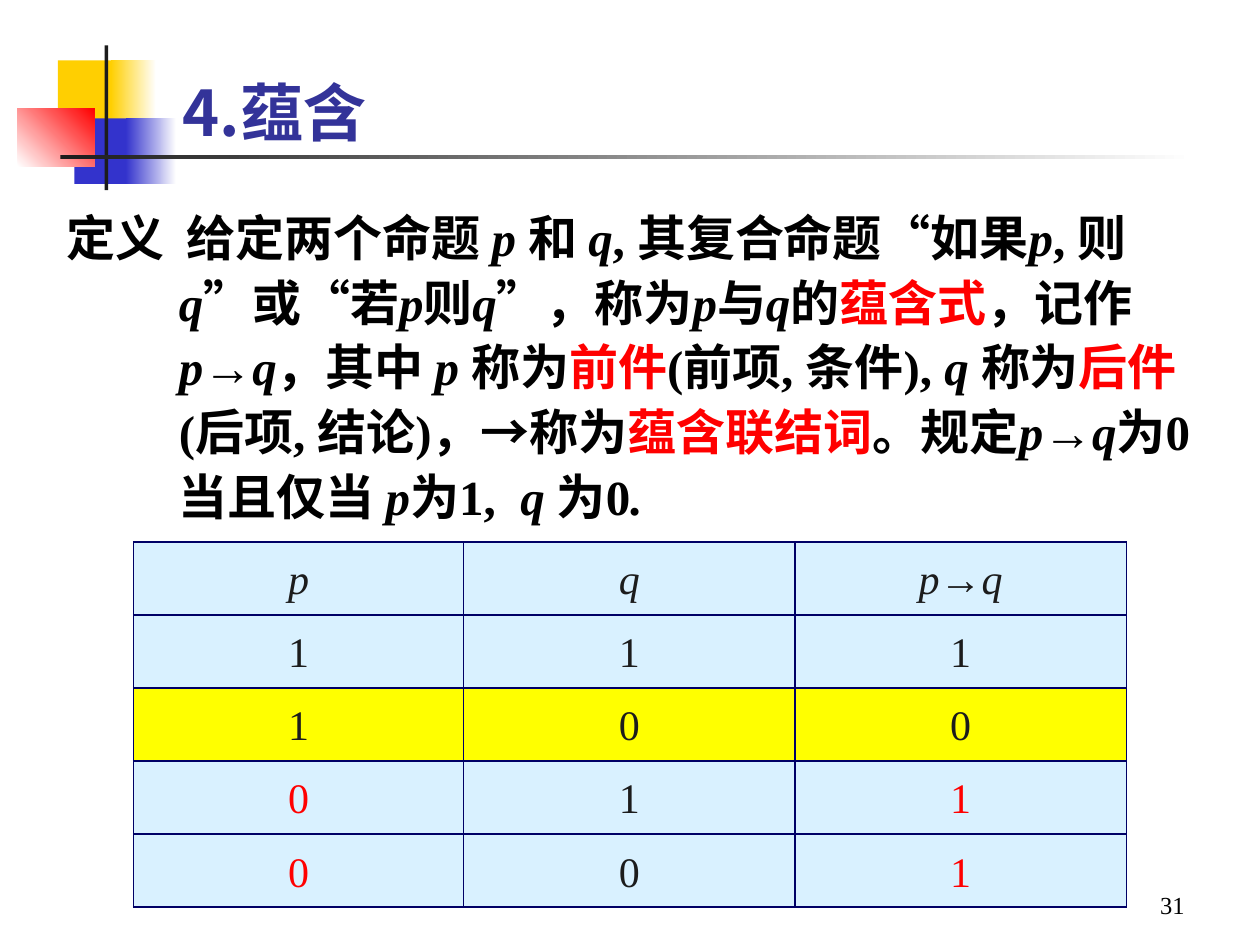
from lxml import etree
from pptx import Presentation
from pptx.dml.color import RGBColor
from pptx.enum.text import MSO_ANCHOR, MSO_AUTO_SIZE, PP_ALIGN
from pptx.oxml import parse_xml
from pptx.oxml.ns import nsdecls, qn
from pptx.util import Inches, Pt

SERIF, SANS = "Times New Roman", "Noto Sans CJK SC"
BLACK, INK, RED = "000000", "1C1C1C", "FF0000"


def rgb(value):
    return RGBColor.from_string(value)


def add_run(paragraph, text, size, color, font=SERIF, bold=False, italic=False):
    run = paragraph.add_run()
    run.text = text
    run.font.size = Pt(size)
    run.font.name = font
    run.font.bold = bold
    run.font.italic = italic
    run.font.color.rgb = rgb(color)
    etree.SubElement(run._r.rPr, qn("a:ea")).set("typeface", SANS)
    return run


prs = Presentation()
prs.slide_width, prs.slide_height = Inches(10), Inches(7.5)
slide = prs.slides.add_slide(prs.slide_layouts[1])
title, body = slide.placeholders[0], slide.placeholders[1]

ornaments = [
    (0.46, 0.48, 0.48, 0.52, ["FFCF01"], 0),
    (0.88, 0.48, 0.36, 0.52, ["FFCF01", "FFFFFF"], 0),
    (0.59, 0.94, 0.46, 0.52, ["3333CC"], 0),
    (1, 0.94, 0.4, 0.52, ["3333CC", "FFFFFF"], 0),
    (0.14, 0.86, 0.61, 0.46, ["FFFFFF", RED], 45),
    (0.83, 0.36, 0.03, 1.15, [INK], 0),
    (0.48, 1.23, 9, 0.03, [INK, "FFFFFF"], 0),
]
for left, top, width, height, colors, angle in ornaments:
    block = slide.shapes.add_shape(1, Inches(left), Inches(top), Inches(width), Inches(height))
    block.shadow.inherit = False
    block.line.fill.background()
    if len(colors) == 1:
        block.fill.solid()
        block.fill.fore_color.rgb = rgb(colors[0])
    else:
        block.fill.gradient()
        block.fill.gradient_angle = angle
        for stop, color in zip(block.fill.gradient_stops, colors):
            stop.color.rgb = rgb(color)
    slide.shapes._spTree.remove(block._element)
    slide.shapes._spTree.insert_element_before(block._element, "p:sp")
    title._element.addprevious(block._element)

title.left, title.top, title.width, title.height = map(Inches, (1.35, -0.02, 9, 1.25))
title.text_frame.vertical_anchor = MSO_ANCHOR.BOTTOM
title.text_frame.auto_size = MSO_AUTO_SIZE.NONE
heading = title.text_frame.paragraphs[0]
heading.alignment = PP_ALIGN.LEFT
heading_run = add_run(heading, "4.蕴含", 36, "333399", SANS, bold=True)
shadow = parse_xml(
    f'<a:effectLst {nsdecls("a")}><a:outerShdw dist="25400" dir="2700000">'
    f'<a:srgbClr val="{INK}"/></a:outerShdw></a:effectLst>'
)
heading_run._r.rPr.find(qn("a:solidFill")).addnext(shadow)

body.left, body.top, body.width, body.height = map(Inches, (0.43, 1.55, 9.21, 2.2))
body.text_frame.auto_size = MSO_AUTO_SIZE.NONE
body.text_frame.vertical_anchor = MSO_ANCHOR.TOP
definition = body.text_frame.paragraphs[0]
definition.line_spacing = 1.1
definition.space_before = Pt(8.4)
props = definition._p.get_or_add_pPr()
props.set("marL", str(Inches(0.89)))
props.set("indent", str(Inches(-0.89)))
etree.SubElement(props, qn("a:buNone"))

wording = (
    "定义  给定两个命题 |*p |和 |*q|, 其复合命题|~“|如果|*p|, 则|*q|~”|或|~“|若|*p|则|*q|~”"
    "|,称为|*p|与|*q|的|!蕴含式|,记作|*p|→|*q|,其中 |*p |称为|!前件|(前项, 条件), |*q |称为"
    "|!后件|(后项, 结论),→称为|!蕴含联结词|。规定|*p|→|*q|为0 当且仅当 |*p|为1,  |*q |为0|*."
).replace(",称", "\uff0c称").replace(",记", "\uff0c记").replace(",其中", "\uff0c其中").replace("),→", ")\uff0c→")
for piece in wording.split("|"):
    mark = piece[0] if piece[0] in "*~!" else ""
    add_run(
        definition, piece[len(mark):], 28, RED if mark == "!" else BLACK,
        "Arial" if mark == "~" else SERIF, bold=True, italic=mark == "*",
    )

truth_rows = ["p q p→q", "1 1 1", "1 0 0", "0 1 1", "0 0 1"]
red_cells = {(3, 0), (3, 2), (4, 0), (4, 2)}
frame = slide.shapes.add_table(5, 3, Inches(1.06), Inches(4.3), Inches(7.88), Inches(2.9))
table = frame.table
for column, width in zip(table.columns, (2.62, 2.63, 2.63)):
    column.width = Inches(width)
for r, values in enumerate(truth_rows):
    table.rows[r].height = Inches(0.58)
    for c, value in enumerate(values.split()):
        cell = table.cell(r, c)
        paragraph = cell.text_frame.paragraphs[0]
        paragraph.alignment = PP_ALIGN.CENTER
        paragraph.line_spacing = 1.2
        paragraph.space_before = Pt(0)
        spacing = paragraph._p.pPr.find(qn("a:spcBef"))
        spacing.clear()
        etree.SubElement(spacing, qn("a:spcPct")).set("val", "20000")
        add_run(paragraph, value, 24, RED if (r, c) in red_cells else INK, italic=r == 0)
        cell.fill.solid()
        cell.fill.fore_color.rgb = rgb("FFFF00" if r == 2 else "D9F1FF")
        for i, side in enumerate(("lnL", "lnR", "lnT", "lnB")):
            border = parse_xml(
                f'<a:{side} {nsdecls("a")} w="12700"><a:solidFill>'
                f'<a:srgbClr val="000066"/></a:solidFill></a:{side}>'
            )
            cell._tc.tcPr.insert(i, border)

number = slide.shapes.add_textbox(Inches(7.17), Inches(6.83), Inches(2.33), Inches(0.52))
number.text_frame.word_wrap = True
number.text_frame.vertical_anchor = MSO_ANCHOR.BOTTOM
number.text_frame.paragraphs[0].alignment = PP_ALIGN.RIGHT
add_run(number.text_frame.paragraphs[0], "31", 14, BLACK)

prs.save("out.pptx")
